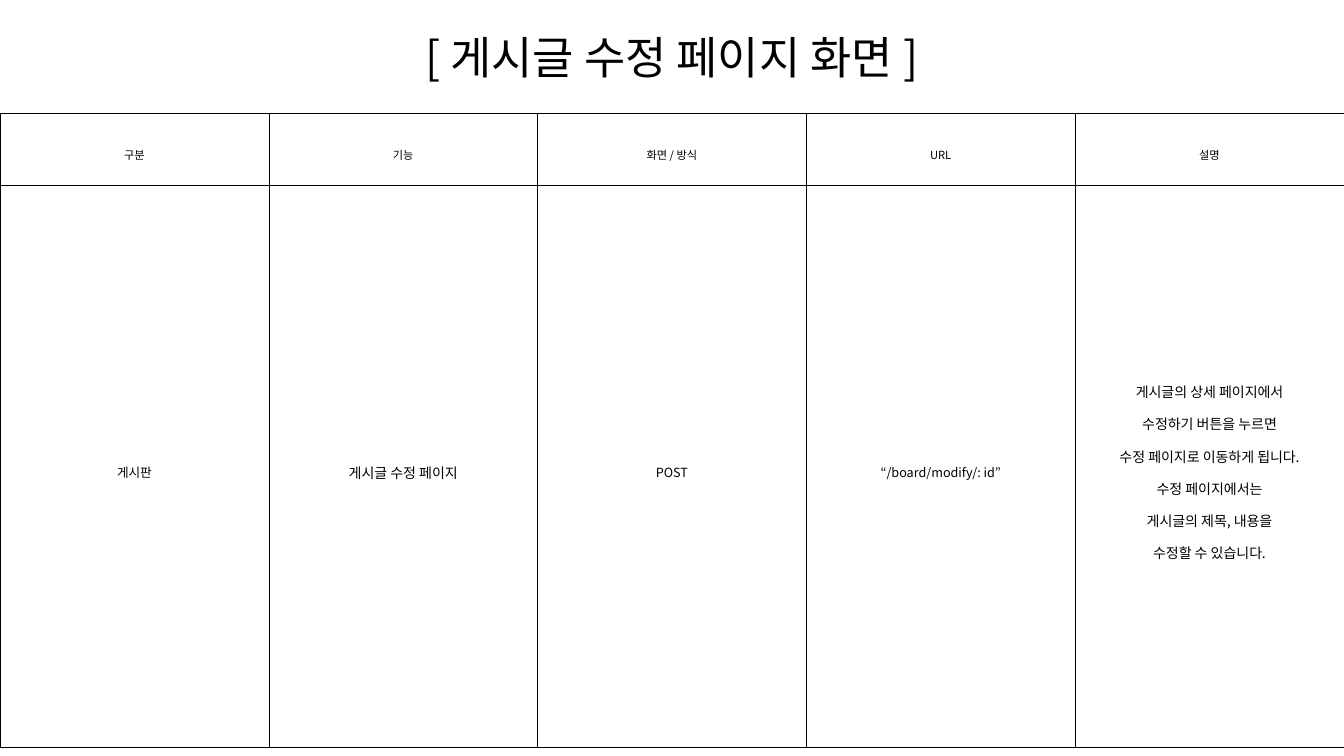
from pptx import Presentation
from pptx.dml.color import RGBColor
from pptx.enum.text import MSO_ANCHOR, PP_ALIGN
from pptx.oxml import parse_xml
from pptx.oxml.ns import nsdecls, qn
from pptx.util import Inches, Pt

TITLE = "[ 게시글 수정 페이지 화면 ]"
HEADERS = ["구분", "기능", "화면 / 방식", "URL", "설명"]
DETAILS = [
    (["게시판"], 9),
    (["게시글 수정 페이지"], 10),
    (["POST"], 9),
    (["“/board/modify/: id”"], 9),
    (["게시글의 상세 페이지에서", "수정하기 버튼을 누르면",
      "수정 페이지로 이동하게 됩니다.", "수정 페이지에서는",
      "게시글의 제목, 내용을", "수정할 수 있습니다."], 10),
]
ROWS = [[([header], 8) for header in HEADERS], DETAILS]

FONT = "Noto Sans CJK KR"
BLACK = RGBColor(0, 0, 0)
CENTER = PP_ALIGN.CENTER
MIDDLE = MSO_ANCHOR.MIDDLE
SLIDE_WIDTH, SLIDE_HEIGHT = Inches(13.33), Inches(7.5)
TABLE_TOP = Inches(1.12)
ROW_HEIGHTS = [Inches(0.72), Inches(5.57)]
BORDER_WIDTH = Pt(0.28)


def write_text(text_frame, lines, size, line_spacing=1.0):
    for index, line in enumerate(lines):
        paragraph = text_frame.paragraphs[0] if index == 0 else text_frame.add_paragraph()
        paragraph.alignment = CENTER
        paragraph.line_spacing = line_spacing
        run = paragraph.add_run()
        run.text = line
        run.font.size = Pt(size)
        run.font.name = FONT
        run.font.color.rgb = BLACK
        east_asian = parse_xml(f'<a:ea {nsdecls("a")} typeface="{FONT}"/>')
        run.font._element.find(qn("a:latin")).addnext(east_asian)


def draw_borders(cell):
    properties = cell._tc.get_or_add_tcPr()
    for index, side in enumerate(("lnL", "lnR", "lnT", "lnB")):
        properties.insert(index, parse_xml(
            f'<a:{side} {nsdecls("a")} w="{BORDER_WIDTH}"><a:solidFill>'
            f'<a:srgbClr val="{BLACK}"/></a:solidFill></a:{side}>'))


def add_title(slide):
    title = slide.shapes.title
    title.left, title.top = 0, Inches(0.24)
    title.width, title.height = SLIDE_WIDTH, Inches(0.64)
    title.text_frame.vertical_anchor = MIDDLE
    write_text(title.text_frame, [TITLE], 32)


def add_page_table(slide):
    table = slide.shapes.add_table(
        len(ROWS), len(HEADERS), 0, TABLE_TOP, SLIDE_WIDTH, sum(ROW_HEIGHTS)).table
    table.horz_banding = False
    for row_index, row in enumerate(ROWS):
        table.rows[row_index].height = ROW_HEIGHTS[row_index]
        for column_index, (lines, size) in enumerate(row):
            cell = table.cell(row_index, column_index)
            cell.fill.background()
            cell.vertical_anchor = MIDDLE
            cell.margin_left = cell.margin_right = Inches(0.07)
            cell.margin_top = cell.margin_bottom = Inches(0.02)
            write_text(cell.text_frame, lines, size, line_spacing=1.6)
            for run in (run for p in cell.text_frame.paragraphs for run in p.runs):
                run.font.bold = False
            draw_borders(cell)


def main():
    presentation = Presentation()
    presentation.slide_width, presentation.slide_height = SLIDE_WIDTH, SLIDE_HEIGHT
    slide = presentation.slides.add_slide(presentation.slide_layouts[5])
    add_title(slide)
    add_page_table(slide)
    presentation.save("out.pptx")


if __name__ == "__main__":
    main()
